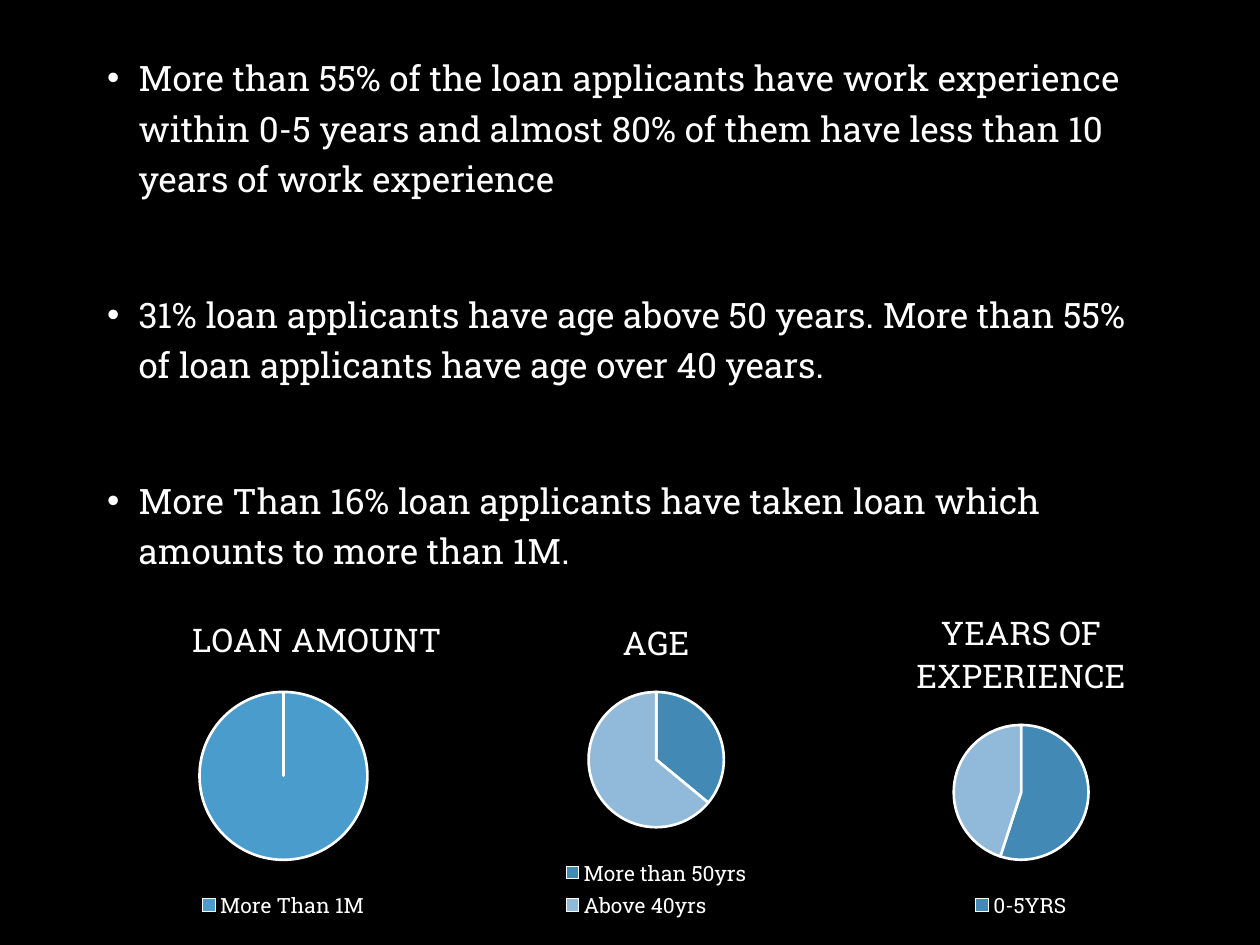
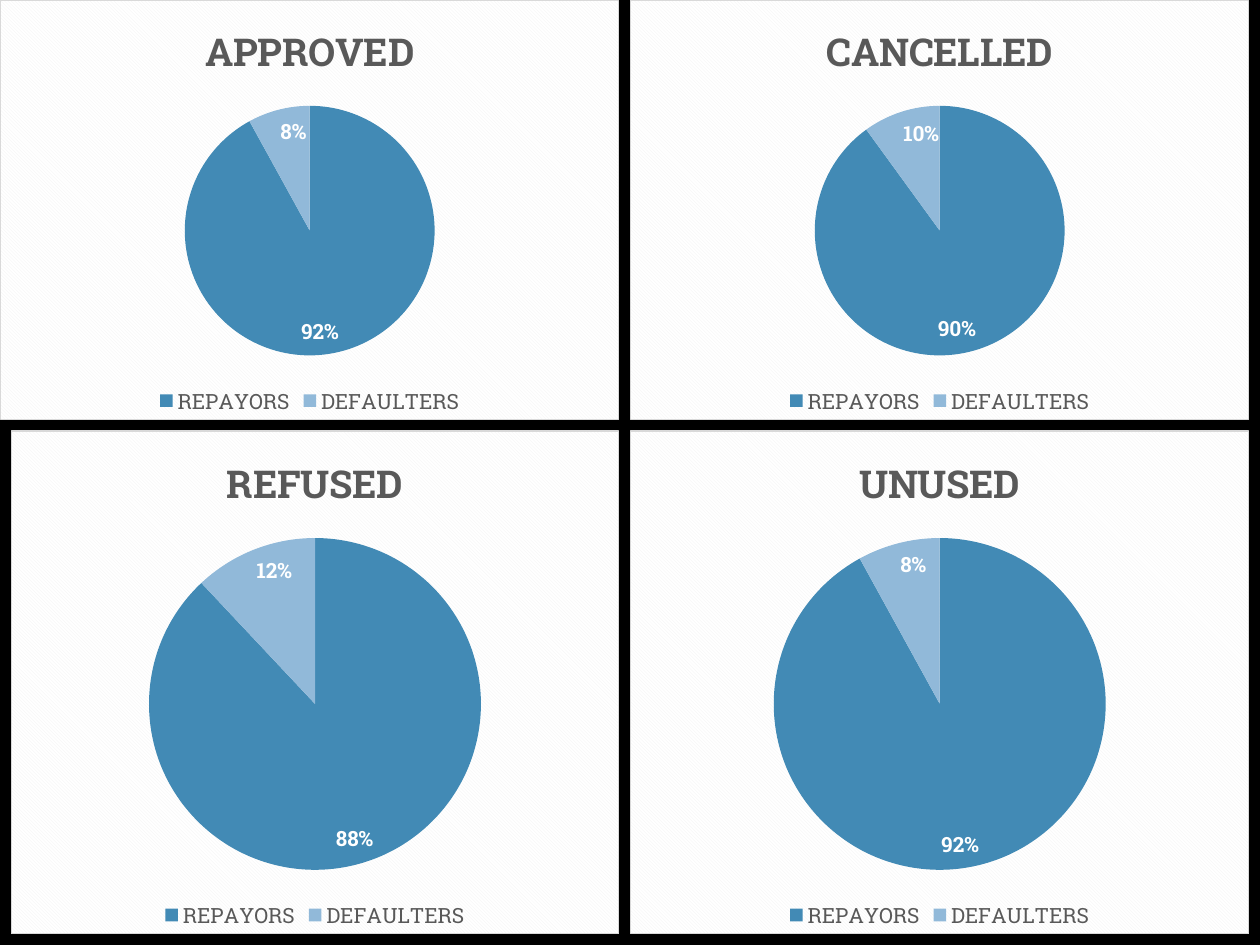
from lxml.etree import SubElement
from pptx import Presentation
from pptx.chart.data import CategoryChartData
from pptx.dml.color import RGBColor
from pptx.enum.chart import XL_CHART_TYPE, XL_LABEL_POSITION, XL_LEGEND_POSITION
from pptx.enum.text import MSO_ANCHOR, MSO_AUTO_SIZE
from pptx.oxml import parse_xml
from pptx.oxml.ns import nsdecls, qn
from pptx.util import Inches, Pt

FONT = "Roboto Slab"
BLACK, WHITE, GREY = "000000", "FFFFFF", "595959"
BLUE, PALE_BLUE, BRIGHT_BLUE = "428AB5", "91B9D9", "4A9CCC"
NO_FILL = "<a:noFill/><a:ln><a:noFill/></a:ln>"
HATCHED = (
    '<a:pattFill prst="dkDnDiag"><a:fgClr><a:srgbClr val="F2F2F2"/></a:fgClr>'
    '<a:bgClr><a:srgbClr val="FFFFFF"/></a:bgClr></a:pattFill>'
    '<a:ln w="9525"><a:solidFill><a:srgbClr val="D9D9D9"/></a:solidFill></a:ln>'
)
FINDINGS = [
    "More than 55% of the loan applicants have work experience within 0-5 years "
    "and almost 80% of them have less than 10 years of work experience",
    "31% loan applicants have age above 50 years. More than 55% of loan applicants "
    "have age over 40 years.",
    "More Than 16% loan applicants have taken loan which amounts to more than 1M.",
]


def rgb(value):
    """Turn a hex string into a colour."""
    return RGBColor.from_string(value)


def grid(*cells):
    """Turn counts of grid cells, twelve to the inch, into lengths."""
    return [Inches(n / 12) for n in cells]


def set_font(font, size, color, bold=False):
    """Apply the deck's typeface with a size, colour and weight."""
    font.name, font.size, font.bold = FONT, Pt(size), bold
    font.color.rgb = rgb(color)


def fill_bullets(body, items):
    """Place the body placeholder and fill it with bulleted items."""
    body.left, body.top, body.width, body.height = grid(9, 4, 102, 72)
    tf = body.text_frame
    tf.auto_size = MSO_AUTO_SIZE.NONE
    tf.vertical_anchor = MSO_ANCHOR.TOP
    tf.text = "\n".join(items)
    for p in tf.paragraphs:
        set_font(p.font, 20, WHITE)
        p.line_spacing, p.space_before = 1.2, Pt(48.8)
        pPr = p._p.get_or_add_pPr()
        pPr.set("marL", str(Inches(0.25)))
        pPr.set("indent", str(-Inches(0.25)))
        bullet = parse_xml(f'<a:buChar {nsdecls("a")} char="•"/>')
        pPr.find(qn("a:defRPr")).addprevious(bullet)


def add_pie(slide, box, title, slices, colors, text_color, title_size, bold, frame):
    """Add a titled pie chart with a bottom legend and a framed background."""
    data = CategoryChartData()
    data.categories = [name for name, _ in slices]
    data.add_series(title, [value for _, value in slices])
    chart = slide.shapes.add_chart(XL_CHART_TYPE.PIE, *grid(*box), data).chart
    set_font(chart.font, 10, WHITE)
    chart.has_title = True
    tf = chart.chart_title.text_frame
    tf.text = title
    set_font(tf.paragraphs[0].font, title_size, text_color, bold)
    chart.has_legend = True
    chart.legend.position = XL_LEGEND_POSITION.BOTTOM
    chart.legend.include_in_layout = False
    set_font(chart.legend.font, 12, text_color)
    plot = chart.plots[0]
    plot.vary_by_categories = True
    for i, color in enumerate(colors):
        fill = plot.series[0].points[i].format.fill
        fill.solid()
        fill.fore_color.rgb = rgb(color)
    background = parse_xml(f'<c:spPr {nsdecls("c", "a")}>{frame}</c:spPr>')
    chart.element.find(qn("c:chart")).addnext(background)
    return chart


def add_outlined_pie(slide, box, title, slices, colors):
    """Add a pie with white slice outlines on the dark background."""
    chart = add_pie(slide, box, title, slices, colors, WHITE, 18.6, False, NO_FILL)
    for i in range(len(colors)):
        line = chart.plots[0].series[0].points[i].format.line
        line.color.rgb, line.width = rgb(WHITE), Pt(1.5)
    return chart


def add_status_pie(slide, box, title, repayors):
    """Add a hatched card with the repayor and defaulter shares."""
    slices = [("REPAYORS", repayors), ("DEFAULTERS", 100 - repayors)]
    chart = add_pie(slide, box, title, slices, (BLUE, PALE_BLUE), GREY, 22, True, HATCHED)
    plot = chart.plots[0]
    for i in range(len(slices)):
        plot.series[0].points[i].format.line.fill.background()
    plot.has_data_labels = True
    labels = plot.data_labels
    labels.show_percentage, labels.show_value = True, False
    labels.number_format, labels.number_format_is_linked = "0%", False
    labels.position = XL_LABEL_POSITION.INSIDE_END
    set_font(labels.font, 12, WHITE, True)


def move_title(chart, x, y):
    """Put a chart title at shares of the chart's width and height."""
    title = chart.element.find(".//" + qn("c:title"))
    for layout in title.findall(qn("c:layout")):
        title.remove(layout)
    layout = parse_xml(f'<c:layout {nsdecls("c")}/>')
    title.find(qn("c:tx")).addnext(layout)
    manual = SubElement(layout, qn("c:manualLayout"))
    for tag, value in (("xMode", "edge"), ("yMode", "edge"), ("x", x), ("y", y)):
        SubElement(manual, qn("c:" + tag)).set("val", str(value))


def hide_legend_entry(chart, index):
    """Leave one slice out of the legend."""
    entry = parse_xml(
        f'<c:legendEntry {nsdecls("c")}><c:idx val="{index}"/><c:delete val="1"/></c:legendEntry>'
    )
    chart.element.find(".//" + qn("c:legendPos")).addnext(entry)


def build_applicants(prs):
    """Build the applicant findings with three small pies."""
    slide = prs.slides.add_slide(prs.slide_layouts[1])
    title = slide.shapes.title.element
    title.getparent().remove(title)
    fill_bullets(slide.placeholders[1], FINDINGS)
    loan = add_outlined_pie(slide, (2, 57, 50, 31), "LOAN AMOUNT",
                            [("More Than 1M", 100)], [BRIGHT_BLUE])
    move_title(loan, 0.315, 0.03)
    add_outlined_pie(slide, (46, 57, 33, 31), "AGE",
                     [("More than 50yrs", 36), ("Above 40yrs", 64)], [BLUE, PALE_BLUE])
    years = add_outlined_pie(slide, (78.5, 56, 37.5, 32), "YEARS OF EXPERIENCE",
                             [("0-5YRS", 55), ("", 45)], [BLUE, PALE_BLUE])
    hide_legend_entry(years, 1)


def build_statuses(prs):
    """Build the two by two grid of loan status pies."""
    slide = prs.slides.add_slide(prs.slide_layouts[6])
    for box, status, repayors in (
        ((0, 0, 59, 40), "APPROVED", 92),
        ((60, 0, 59, 40), "CANCELLED", 90),
        ((1, 41, 58, 48), "REFUSED", 88),
        ((60, 41, 59, 48), "UNUSED", 92),
    ):
        add_status_pie(slide, box, status, repayors)


def main():
    """Build and save the deck."""
    prs = Presentation()
    prs.slide_width, prs.slide_height = Inches(10), Inches(7.5)
    fill = prs.slide_master.background.fill
    fill.solid()
    fill.fore_color.rgb = rgb(BLACK)
    build_applicants(prs)
    build_statuses(prs)
    prs.save("out.pptx")


if __name__ == "__main__":
    main()
